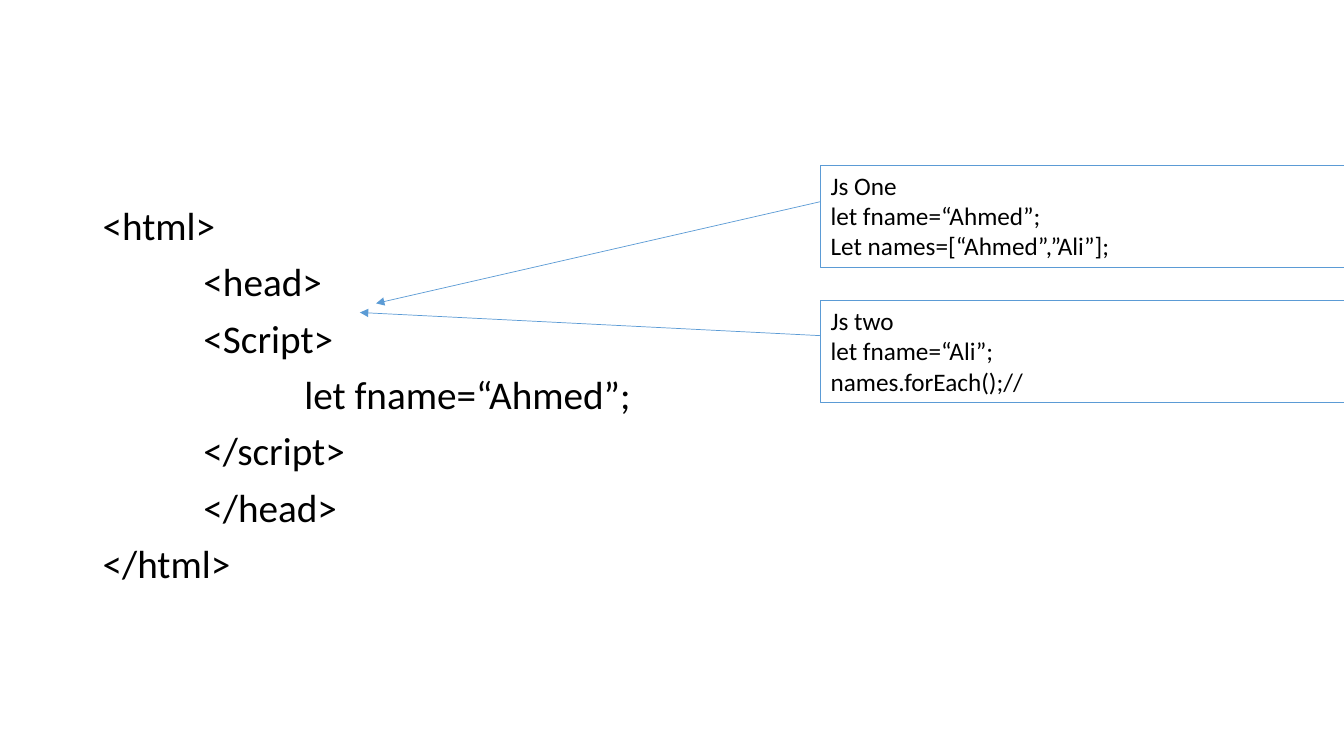
from lxml import etree
from pptx import Presentation
from pptx.dml.color import RGBColor
from pptx.enum.shapes import MSO_CONNECTOR, MSO_SHAPE
from pptx.enum.text import MSO_ANCHOR, PP_ALIGN
from pptx.oxml.ns import qn
from pptx.util import Inches, Pt

STRAIGHT = MSO_CONNECTOR.STRAIGHT
RECTANGLE = MSO_SHAPE.RECTANGLE
TOP = MSO_ANCHOR.TOP
LEFT = PP_ALIGN.LEFT

COLORS = {"text": "000000", "accent": "5B9BD5"}
FONT = "Calibri"

HTML_LINES = [
    (0, "<html>"),
    (1, "<head>"),
    (1, "<Script>"),
    (2, "let fname=“Ahmed”;"),
    (1, "</script>"),
    (1, "</head>"),
    (0, "</html>"),
]
BOX_LEFT = 8.14
SCRIPTS = [
    (1.64, ["Js One", "let fname=“Ahmed”;", "Let names=[“Ahmed”,”Ali”];"], 2, (3.73, 3.01)),
    (2.98, ["Js two", "let fname=“Ali”;", "names.forEach();//"], 3.33, (3.57, 3.1)),
]


class SlideBuilder:
    """Draws styled code blocks, boxes and arrows on one slide."""

    def __init__(self, slide):
        self.slide = slide

    def color(self, name):
        return RGBColor.from_string(COLORS[name])

    def format_text(self, text_frame, size):
        text_frame.word_wrap = True
        text_frame.vertical_anchor = TOP
        for paragraph in text_frame.paragraphs:
            paragraph.alignment = LEFT
            for run in paragraph.runs:
                run.font.name = FONT
                run.font.size = Pt(size)
                run.font.color.rgb = self.color("text")

    def code(self, left, top, width, height, lines):
        shape = self.slide.shapes.add_textbox(
            Inches(left), Inches(top), Inches(width), Inches(height))
        text_frame = shape.text_frame
        text_frame.text = "\n".join(text for _, text in lines)
        self.format_text(text_frame, 28)
        for paragraph, (level, _) in zip(text_frame.paragraphs, lines):
            paragraph.line_spacing = 0.9
            paragraph.space_before = Pt(10)
            properties = paragraph._p.get_or_add_pPr()
            properties.set("marL", str(Inches(level)))
            properties.set("indent", "0")

    def box(self, left, top, width, height, lines):
        shape = self.slide.shapes.add_shape(
            RECTANGLE, Inches(left), Inches(top), Inches(width), Inches(height))
        shape.shadow.inherit = False
        shape.fill.background()
        shape.line.color.rgb = self.color("accent")
        shape.line.width = Pt(0.75)
        shape.text_frame.text = "\n".join(lines)
        self.format_text(shape.text_frame, 18)

    def arrow(self, start, end):
        connector = self.slide.shapes.add_connector(
            STRAIGHT, *(Inches(value) for value in (*start, *end)))
        connector.line.color.rgb = self.color("accent")
        connector.line.width = Pt(0.5)
        etree.SubElement(connector.line._get_or_add_ln(), qn("a:tailEnd"), type="triangle")
        etree.SubElement(connector._element.spPr, qn("a:effectLst"))


def main():
    presentation = Presentation()
    presentation.slide_width = Inches(13.33)
    presentation.slide_height = Inches(7.5)
    slide = presentation.slides.add_slide(presentation.slide_layouts[6])
    builder = SlideBuilder(slide)
    builder.code(0.92, 2, 11.5, 4.76, HTML_LINES)
    for top, lines, _, _ in SCRIPTS:
        builder.box(BOX_LEFT, top, 5.37, 1.01, lines)
    for _, _, arrow_top, target in SCRIPTS:
        builder.arrow((BOX_LEFT, arrow_top), target)
    presentation.save("out.pptx")


if __name__ == "__main__":
    main()
